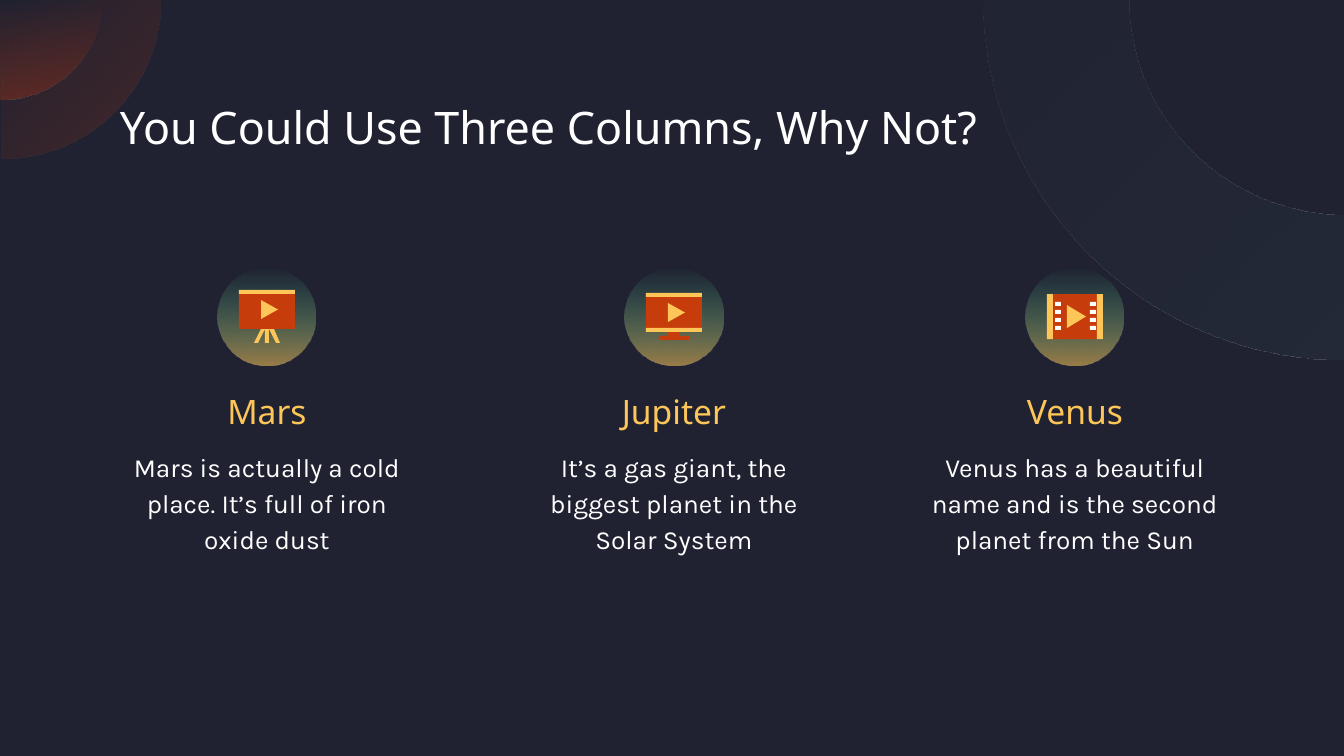
from math import cos, sin, pi

from lxml.etree import SubElement
from pptx import Presentation
from pptx.dml.color import RGBColor
from pptx.enum.shapes import MSO_SHAPE as Shape
from pptx.enum.text import PP_ALIGN as Align
from pptx.oxml.ns import qn
from pptx.util import Pt

PX = 6804  # EMU in one px
NIGHT = RGBColor(0x20, 0x22, 0x31)
RUST = RGBColor(0x9C, 0x32, 0x18)
SLATE = RGBColor(0x25, 0x2C, 0x3A)
MINT = RGBColor(0x4A, 0xFF, 0xC3)
GOLD = RGBColor(0xFE, 0xC6, 0x59)
RED = RGBColor(0xC6, 0x3C, 0x0A)
WHITE = RGBColor(0xFF, 0xFF, 0xFF)

deck = Presentation()
deck.slide_width = 1344 * PX
deck.slide_height = 756 * PX
slide = deck.slides.add_slide(deck.slide_layouts[6])
slide.background.fill.solid()
slide.background.fill.fore_color.rgb = NIGHT
shapes = slide.shapes


def paint(shape, *stops, angle=90):
    """Fill with one colour, or fade between two (colour, opacity %) stops."""
    shape.shadow.inherit = False
    shape.line.fill.background()
    if len(stops) == 1:
        shape.fill.solid()
        shape.fill.fore_color.rgb = stops[0]
        return
    shape.fill.gradient()
    shape.fill.gradient_angle = angle
    for stop, (color, _) in zip(shape.fill.gradient_stops, stops):
        stop.color.rgb = color
    marks = shape._element.spPr.iter(qn("a:srgbClr"))
    for mark, (_, alpha) in zip(list(marks), stops):
        SubElement(mark, qn("a:alpha")).set("val", str(alpha * 1000))


def trace(points):
    """Add a closed outline through points in px."""
    spots = [(x * PX, y * PX) for x, y in points]
    pen = shapes.build_freeform(*spots[0], scale=1)
    pen.add_line_segments(spots[1:], close=True)
    return pen.convert_to_shape()


# Corner planets
turns = [i * pi / 180 for i in range(91)]
for size, alpha, angle in [(159, 30, 135), (100, 42, 90)]:
    arc = [(1 + size * cos(t), size * sin(t)) for t in turns]
    paint(trace([(1, 0)] + arc), (RUST, alpha), (RUST, 0), angle=angle)
outer = [(1344 - 360 * cos(t), 360 * sin(t)) for t in turns]
inner = [(1344 - 215 * cos(t), 215 * sin(t)) for t in reversed(turns)]
paint(trace(outer + inner), (SLATE, 75), (SLATE, 20), angle=135)

# Texts and discs
columns = [
    (267, "Mars", "Mars is actually a cold place. It’s full of iron oxide dust"),
    (674, "Jupiter", "It’s a gas giant, the biggest planet in the Solar System"),
    (1075, "Venus",
     "Venus has a beautiful name and is the second planet from the Sun"),
]
texts = [((107, 87, 1138, 84), "You Could Use Three Columns, Why Not?",
          "Noto Sans", 24, WHITE, Align.LEFT)]
for mid, name, fact in columns:
    texts += [
        ((mid - 159, 372, 318, 85), name, "Noto Sans", 18, GOLD, Align.CENTER),
        ((mid - 159, 434, 318, 136), fact, "Karla", 14, WHITE, Align.CENTER),
    ]
    disc = shapes.add_shape(Shape.OVAL, (mid - 49) * PX, 268 * PX, 98 * PX, 98 * PX)
    paint(disc, (GOLD, 55), (MINT, 0))

for box, words, face, size, color, align in texts:
    frame = shapes.add_textbox(*[n * PX for n in box]).text_frame
    frame.word_wrap = True
    frame.margin_left = frame.margin_right = 13 * PX
    frame.margin_top = frame.margin_bottom = 13 * PX
    para = frame.paragraphs[0]
    para.alignment = align
    if align == Align.CENTER:
        para.line_spacing = 1.15
        para.space_after = Pt(16)
    run = para.add_run()
    run.text = words
    run.font.name = face
    run.font.size = Pt(size)
    run.font.color.rgb = color

# Icons: x is counted from the middle of the column
mars, jupiter, venus = [column[0] for column in columns]
legs = [(-10, 316), (-6, 329), (-13, 343), (-9, 343), (-2, 329), (-2, 343),
        (2, 343), (2, 329), (9, 343), (13, 343), (7, 329), (11, 316)]
stand = [(-6, 329), (-6, 336), (-15, 336), (-15, 340),
         (15, 340), (15, 336), (6, 336), (6, 329)]
for mid, points, color in [(mars, legs, GOLD), (jupiter, stand, RED)]:
    paint(trace([(mid + x, y) for x, y in points]), color)

bars = [
    (mars, -28, 293, 56, 36, RED),
    (mars, -28, 290, 56, 4, GOLD),
    (jupiter, -28, 296, 56, 33, RED),
    (jupiter, -28, 293, 56, 4, GOLD),
    (jupiter, -28, 328, 56, 4, GOLD),
    (venus, -24, 294, 48, 45, RED),
    (venus, -28, 294, 6, 45, GOLD),
    (venus, 22, 294, 6, 45, GOLD),
]
bars += [(venus, x, 302 + 8 * row, 6, 4, WHITE)
         for x in (-20, 15) for row in range(4)]
for mid, x, y, wide, high, color in bars:
    bar = shapes.add_shape(
        Shape.RECTANGLE, (mid + x) * PX, y * PX, wide * PX, high * PX)
    paint(bar, color)

for mid, x, y, wide, high in [(mars, -6, 300, 17, 19), (jupiter, -6, 303, 17, 19),
                              (venus, -8, 305, 19, 23)]:
    left = mid + x
    play = trace([(left, y), (left, y + high), (left + wide, y + high / 2)])
    paint(play, GOLD)

deck.save("out.pptx")
